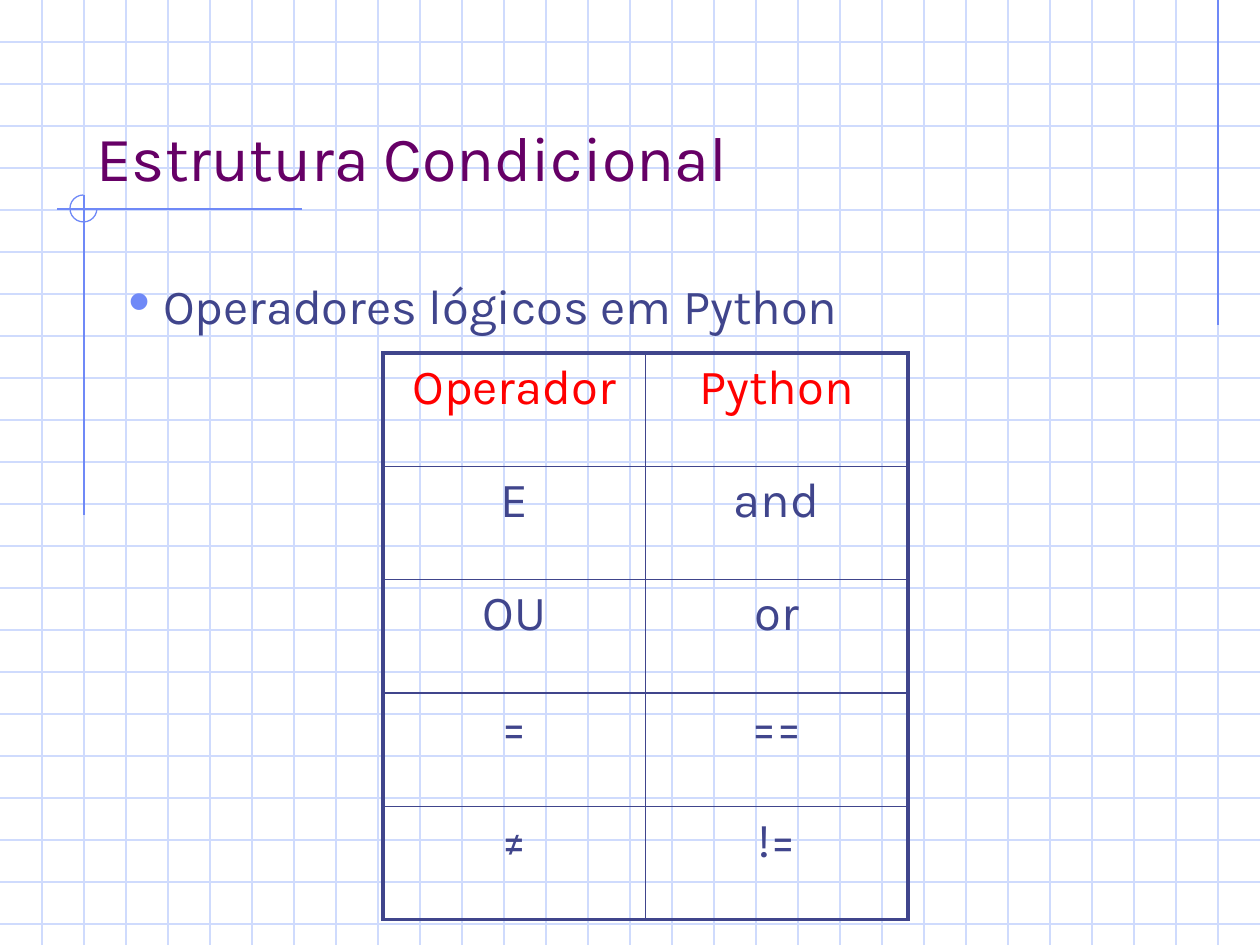
from lxml.etree import SubElement
from pptx import Presentation
from pptx.dml.color import RGBColor
from pptx.enum.shapes import MSO_CONNECTOR, MSO_SHAPE
from pptx.enum.text import MSO_ANCHOR, PP_ALIGN
from pptx.oxml import parse_xml
from pptx.oxml.ns import nsdecls, qn
from pptx.util import Pt

SCALE = 914400 // 126
WIDTH, HEIGHT = 1260, 945
GRID_STEP = 42
FONT = "Karla"

GRID = RGBColor(0xCF, 0xDB, 0xFD)
ACCENT = RGBColor(0x6F, 0x89, 0xF7)
PURPLE = RGBColor(0x66, 0x00, 0x66)
NAVY = RGBColor(0x40, 0x45, 0x8C)
RED = RGBColor(0xFF, 0x00, 0x00)

OPERATORS = [
    ("Operador", "Python"),
    ("E", "and"),
    ("OU", "or"),
    ("=", "=="),
    ("≠", "!="),
]


def emu(*pixels):
    """Turn pixel lengths into EMU."""
    return [pixel * SCALE for pixel in pixels]


def set_font(font, size, color):
    """Apply the slide's typeface with a size and a colour."""
    font.name = FONT
    font.size = Pt(size)
    font.color.rgb = color


def add_line(slide, x1, y1, x2, y2, color):
    """Draw a thin straight line without shadow."""
    line = slide.shapes.add_connector(MSO_CONNECTOR.STRAIGHT, *emu(x1, y1, x2, y2))
    line.line.color.rgb = color
    line.line.width = Pt(0.75)
    SubElement(line.element.spPr, qn("a:effectLst"))


def add_grid(slide):
    """Rule the whole slide like squared paper."""
    for y in range(GRID_STEP, HEIGHT, GRID_STEP):
        add_line(slide, 0, y, WIDTH, y, GRID)
    for x in range(GRID_STEP, WIDTH, GRID_STEP):
        add_line(slide, x, 0, x, HEIGHT, GRID)


def add_ornaments(slide):
    """Draw the accent lines and the three-quarter circle."""
    add_line(slide, 1218, 0, 1218, 325, ACCENT)
    add_line(slide, 302, 209, 57, 209, ACCENT)
    add_line(slide, 84, 195, 84, 515, ACCENT)
    arc = slide.shapes.add_shape(MSO_SHAPE.ARC, *emu(70, 195, 27, 27))
    arc.adjustments[0] = 0
    arc.adjustments[1] = 162  # 270 degrees, in units of 100000/60000 degree
    arc.shadow.inherit = False
    arc.fill.background()
    arc.line.color.rgb = ACCENT
    arc.line.width = Pt(0.75)


def format_title(slide, text):
    """Fill and place the title, in front of the grid."""
    title = slide.shapes.title
    title.left, title.top, title.width, title.height = emu(84, 42, 1071, 158)
    title.text_frame.text = text
    title.text_frame.vertical_anchor = MSO_ANCHOR.BOTTOM
    paragraph = title.text_frame.paragraphs[0]
    paragraph.alignment = PP_ALIGN.LEFT
    set_font(paragraph.font, 36, PURPLE)
    title.element.getparent().append(title.element)


def add_bullet_text(slide, text):
    """Add the bulleted statement above the table."""
    box = slide.shapes.add_textbox(*emu(116, 262, 882, 567))
    box.text_frame.word_wrap = True
    paragraph = box.text_frame.paragraphs[0]
    paragraph.space_before = Pt(3)
    for content, size, color in ((" ", 32, RED), (text, 28, NAVY)):
        run = paragraph.add_run()
        run.text = content
        set_font(run.font, size, color)
    properties = paragraph._p.get_or_add_pPr()
    properties.set("marL", "0")
    properties.set("indent", str(-30 * SCALE))
    bullet_color = SubElement(properties, qn("a:buClr"))
    SubElement(bullet_color, qn("a:srgbClr"), val=str(ACCENT))
    SubElement(properties, qn("a:buSzPct"), val="110000")
    SubElement(properties, qn("a:buFont"), typeface="Arial")
    SubElement(properties, qn("a:buChar"), char="•")


def set_borders(cell, widths):
    """Draw left, right, top and bottom borders with the given point widths."""
    properties = cell._tc.get_or_add_tcPr()
    for index, (side, width) in enumerate(zip("LRTB", widths)):
        border = parse_xml(
            f'<a:ln{side} {nsdecls("a")} w="{Pt(width)}"><a:solidFill>'
            f'<a:srgbClr val="{NAVY}"/></a:solidFill></a:ln{side}>'
        )
        properties.insert(index, border)


def add_operator_table(slide, rows):
    """Add the transparent table with a heavy outer frame."""
    row_count, column_count = len(rows), len(rows[0])
    frame = slide.shapes.add_table(
        row_count, column_count, *emu(383, 353, 525, 567)
    )
    table = frame.table
    table.first_row = table.horz_banding = False
    for row, texts in enumerate(rows):
        for column, text in enumerate(texts):
            cell = table.cell(row, column)
            cell.text = text
            cell.fill.background()
            paragraph = cell.text_frame.paragraphs[0]
            paragraph.alignment = PP_ALIGN.CENTER
            set_font(paragraph.font, 28, NAVY if row else RED)
            outer = (column == 0, column == column_count - 1,
                     row == 0, row == row_count - 1)
            set_borders(cell, [2.25 if edge else 1 for edge in outer])


def main():
    """Build the slide and save it."""
    presentation = Presentation()
    presentation.slide_width, presentation.slide_height = emu(WIDTH, HEIGHT)
    slide = presentation.slides.add_slide(presentation.slide_layouts[5])
    add_grid(slide)
    add_ornaments(slide)
    format_title(slide, "Estrutura Condicional")
    add_bullet_text(slide, "Operadores lógicos em Python")
    add_operator_table(slide, OPERATORS)
    presentation.save("out.pptx")


main()
